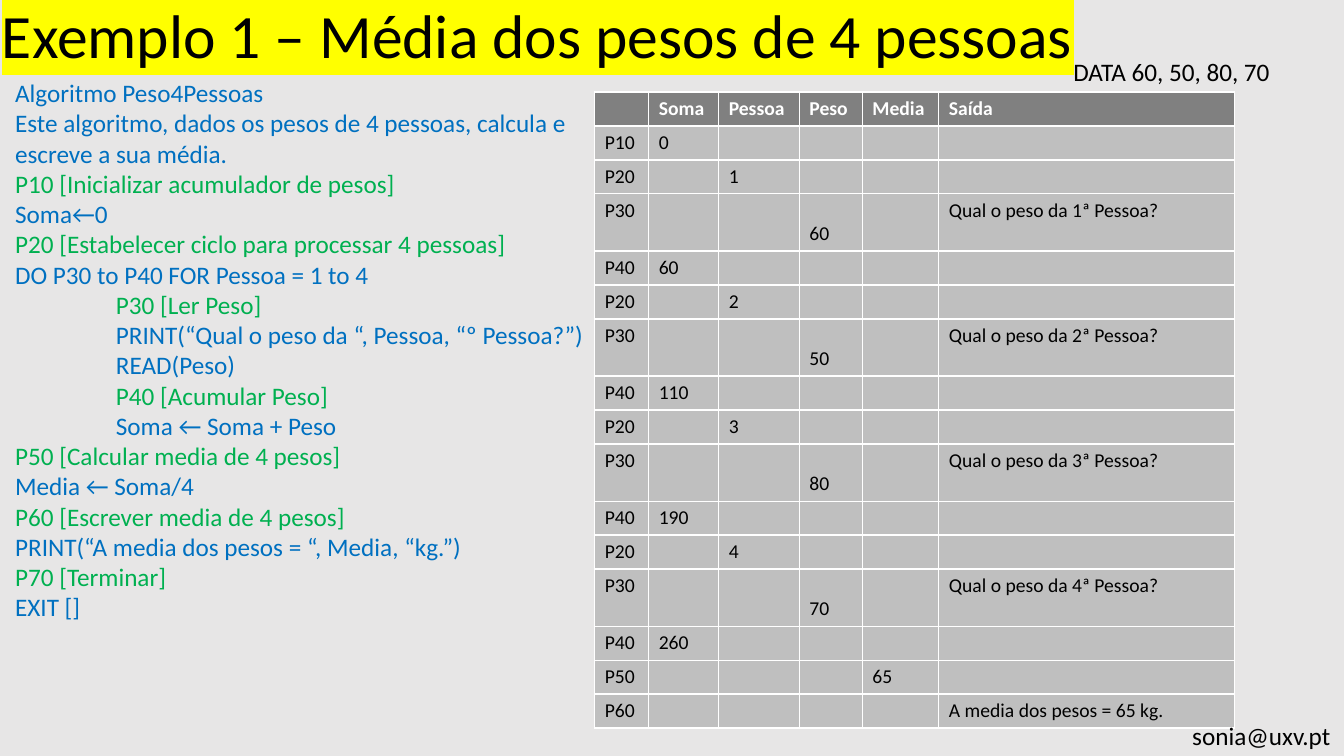
"""Build the slide that traces the average weight of four people."""
import lxml.etree
import pptx
import pptx.dml.color
import pptx.enum.text
import pptx.oxml.ns
import pptx.util

Pt = pptx.util.Pt
Anchor = pptx.enum.text.MSO_ANCHOR
FONT = "Calibri"
BLACK, WHITE, BLUE, GREEN = "000000", "FFFFFF", "0070C0", "00B050"
BACKGROUND, HEADER_FILL, CELL_FILL, HIGHLIGHT = "E7E6E6", "808080", "BFBFBF", "FFFF00"

TITLE = "Exemplo 1 – Média dos pesos de 4 pessoas"
LABELS = [
    ("sonia@uxv.pt", (844.5, 511.2, 115.2, 28.8)),
    ("DATA 60, 50, 80, 70", (759.6, 36.7, 156.2, 28.8)),
]
ALGORITHM = [
    ("Algoritmo Peso4Pessoas", BLUE, 0),
    ("Este algoritmo, dados os pesos de 4 pessoas, calcula e", BLUE, 0),
    ("escreve a sua média.", BLUE, 0),
    ("P10 [Inicializar acumulador de pesos]", GREEN, 0),
    ("Soma←0", BLUE, 0),
    ("P20 [Estabelecer ciclo para processar 4 pessoas]", GREEN, 0),
    ("DO P30 to P40 FOR Pessoa = 1 to 4", BLUE, 0),
    ("P30 [Ler Peso]", GREEN, 1),
    ("PRINT(“Qual o peso da “, Pessoa, “º Pessoa?”)", BLUE, 1),
    ("READ(Peso)", BLUE, 1),
    ("P40 [Acumular Peso]", GREEN, 1),
    ("Soma ← Soma + Peso", BLUE, 1),
    ("P50 [Calcular media de 4 pesos]", GREEN, 0),
    ("Media ← Soma/4", BLUE, 0),
    ("P60 [Escrever media de 4 pesos]", GREEN, 0),
    ("PRINT(“A media dos pesos = “, Media, “kg.”)", BLUE, 0),
    ("P70 [Terminar]", GREEN, 0),
    ("EXIT []", BLUE, 0),
]
HEADERS = ["", "Soma", "Pessoa", "Peso", "Media", "Saída"]
WEIGHTS = [60, 50, 80, 70]
COLUMN_WIDTHS = [38.6, 50, 57.6, 45, 54.7, 211.2]
ROW_HEIGHT, QUESTION_HEIGHT = 24, 40.8
INDENT = 72


def color(value):
    return pptx.dml.color.RGBColor.from_string(value)


def place(shape, left, top, width, height):
    shape.left, shape.top = Pt(left), Pt(top)
    shape.width, shape.height = Pt(width), Pt(height)


def style(paragraph, size, shade, bold=False):
    font = paragraph.font
    font.name, font.size, font.bold = FONT, Pt(size), bold
    font.color.rgb = color(shade)


def add_xml(parent, tag, **attributes):
    return lxml.etree.SubElement(parent, pptx.oxml.ns.qn(tag), **attributes)


def trace_rows():
    rows, total = [HEADERS, ["P10", "0", "", "", "", ""]], 0
    for person, weight in enumerate(WEIGHTS, 1):
        total += weight
        rows += [
            ["P20", "", str(person), "", "", ""],
            ["P30", "", "", str(weight), "", f"Qual o peso da {person}ª Pessoa?"],
            ["P40", str(total), "", "", "", ""],
        ]
    mean = total // len(WEIGHTS)
    rows.append(["P50", "", "", "", str(mean), ""])
    rows.append(["P60", "", "", "", "", f"A media dos pesos = {mean} kg."])
    return rows


def fill_title(title):
    place(title, -5.8, -5.8, 881.3, 60.5)
    frame = title.text_frame
    frame.auto_size = pptx.enum.text.MSO_AUTO_SIZE.NONE
    frame.vertical_anchor = Anchor.TOP
    paragraph = frame.paragraphs[0]
    paragraph.alignment = pptx.enum.text.PP_ALIGN.LEFT
    style(paragraph, 44, BLACK)
    span = paragraph.add_run()
    span.text = TITLE
    marker = add_xml(span.font._element, "a:highlight")
    add_xml(marker, "a:srgbClr", val=HIGHLIGHT)


def fill_algorithm(body):
    place(body, 3.6, 51.8, 432, 399.6)
    frame = body.text_frame
    frame.auto_size = pptx.enum.text.MSO_AUTO_SIZE.NONE
    frame.text = "\n".join(text for text, shade, level in ALGORITHM)
    for paragraph, (text, shade, level) in zip(frame.paragraphs, ALGORITHM):
        paragraph.space_before = Pt(0)
        properties = paragraph._p.get_or_add_pPr()
        properties.set("marL", str(Pt(INDENT * level)))
        properties.set("indent", "0")
        add_xml(properties, "a:buNone")
        style(paragraph, 18, shade)


def add_label(page, text, area):
    box = page.shapes.add_textbox(*map(Pt, area))
    box.text_frame.word_wrap = False
    box.text_frame.text = text
    style(box.text_frame.paragraphs[0], 18, BLACK)


def add_trace(page):
    rows = trace_rows()
    heights = [QUESTION_HEIGHT if row[0] == "P30" else ROW_HEIGHT for row in rows]
    area = (424.8, 65.7, sum(COLUMN_WIDTHS), sum(heights))
    table = page.shapes.add_table(len(rows), len(HEADERS), *map(Pt, area)).table
    table.horz_banding = False
    for column, width in zip(table.columns, COLUMN_WIDTHS):
        column.width = Pt(width)
    for row_index, (row, height) in enumerate(zip(rows, heights)):
        table.rows[row_index].height = Pt(height)
        header = row_index == 0
        for column_index, text in enumerate(row):
            cell = table.cell(row_index, column_index)
            cell.fill.solid()
            cell.fill.fore_color.rgb = color(HEADER_FILL if header else CELL_FILL)
            cell.text = text
            if HEADERS[column_index] == "Peso" and text:
                cell.vertical_anchor = Anchor.BOTTOM
            paragraph = cell.text_frame.paragraphs[0]
            style(paragraph, 14, WHITE if header else BLACK, header)
            if not text:
                add_xml(paragraph._p, "a:endParaRPr", sz="1400")


def main():
    deck = pptx.Presentation()
    deck.slide_width, deck.slide_height = Pt(960), Pt(540)
    page = deck.slides.add_slide(deck.slide_layouts[1])
    page.background.fill.solid()
    page.background.fill.fore_color.rgb = color(BACKGROUND)
    fill_title(page.shapes.title)
    fill_algorithm(page.placeholders[1])
    add_trace(page)
    for text, area in LABELS:
        add_label(page, text, area)
    deck.save("out.pptx")


if __name__ == "__main__":
    main()
